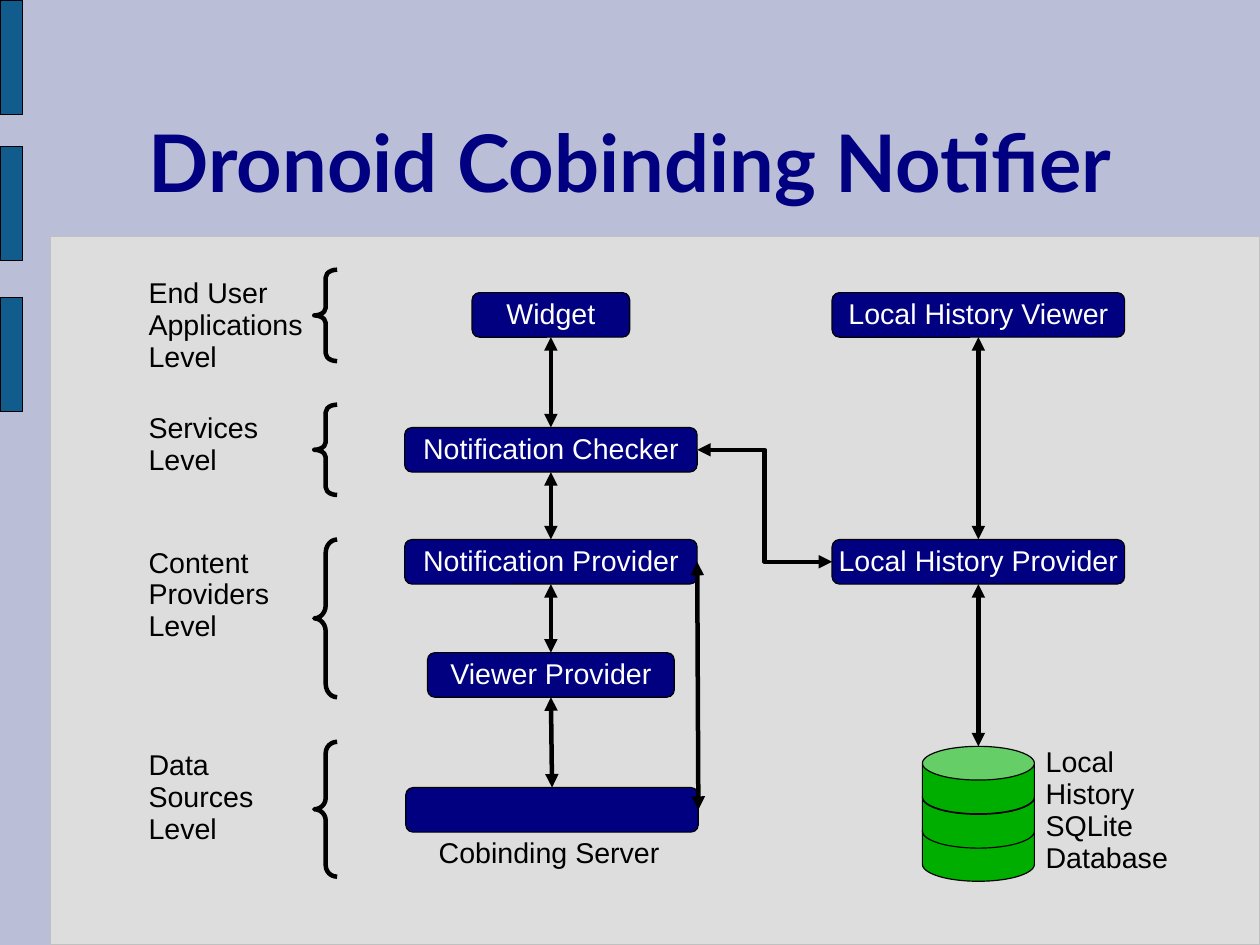
from lxml import etree
from pptx import Presentation
from pptx.dml.color import RGBColor
from pptx.enum.shapes import MSO_CONNECTOR, MSO_SHAPE
from pptx.enum.text import MSO_ANCHOR, PP_ALIGN
from pptx.oxml.ns import qn
from pptx.util import Inches, Pt

RECTANGLE = MSO_SHAPE.RECTANGLE
ROUNDED = MSO_SHAPE.ROUNDED_RECTANGLE
CAN = MSO_SHAPE.CAN
BRACE = MSO_SHAPE.LEFT_BRACE
STRAIGHT = MSO_CONNECTOR.STRAIGHT
ELBOW = MSO_CONNECTOR.ELBOW
LEFT, CENTER = PP_ALIGN.LEFT, PP_ALIGN.CENTER
TOP, MIDDLE = MSO_ANCHOR.TOP, MSO_ANCHOR.MIDDLE
SITE_TOP, SITE_LEFT, SITE_BOTTOM, SITE_RIGHT = range(4)

COLORS = {
    "background": "BABED6", "panel": "DDDDDD", "panel_line": "C0C0C0",
    "bar": "125C8D", "navy": "000080", "database": "00AE00",
    "black": "000000", "white": "FFFFFF",
}

CM_PER_INCH = 2.54
SLIDE_WIDTH, SLIDE_HEIGHT = 28 / CM_PER_INCH, 21 / CM_PER_INCH
TITLE = "Dronoid Cobinding Notifier"
BAR_TOPS = [0, 1.28, 2.6]
LEVELS = [
    ("End User Applications Level", 2.36, 0.8, 1.77),
    ("Services Level", 3.54, 0.79, 1.27),
    ("Content Providers Level", 4.72, 1.38, 1.77),
    ("Data Sources Level", 6.49, 1.18, 1.57),
]
NODE_HEIGHT = 0.39
MAIN_CENTER, HISTORY_CENTER = 4.82, 8.56
NODES = {
    "server": ("", MAIN_CENTER + 0.01, 6.89, 2.56),
    "notification provider": ("Notification Provider", MAIN_CENTER, 4.72, 2.56),
    "viewer provider": ("Viewer Provider", MAIN_CENTER, 5.71, 2.16),
    "checker": ("Notification Checker", MAIN_CENTER, 3.74, 2.56),
    "widget": ("Widget", MAIN_CENTER, 2.56, 1.38),
    "history viewer": ("Local History Viewer", HISTORY_CENTER, 2.56, 2.56),
    "history provider": ("Local History Provider", HISTORY_CENTER, 4.72, 2.56),
}
VERTICAL_LINKS = [
    ("widget", "checker"),
    ("checker", "notification provider"),
    ("notification provider", "viewer provider"),
    ("viewer provider", "server"),
    ("history viewer", "history provider"),
]
DISK_TOPS = [7.12, 6.83, 6.53]
DISK_WIDTH, DISK_HEIGHT = 0.98, 0.59
CAPTIONS = [
    ("Local History SQLite Database", 9.05, 6.49, 1.57, 1.21),
    ("Cobinding Server", 3.74, 7.28, 2.36, 0.38),
]


def color(name):
    return RGBColor.from_string(COLORS[name])


def add_box(slide, kind, left, top, width, height, fill, line="black", weight=0.75):
    shape = slide.shapes.add_shape(
        kind, Inches(left), Inches(top), Inches(width), Inches(height))
    shape.shadow.inherit = False
    if fill:
        shape.fill.solid()
        shape.fill.fore_color.rgb = color(fill)
    else:
        shape.fill.background()
    shape.line.color.rgb = color(line)
    shape.line.width = Pt(weight)
    return shape


def write(shape, text, ink="black", align=LEFT, anchor=TOP, insets=(0.1, 0.05),
          wrap=True, spacing=0.93, font="Arial", size=18, bold=False):
    frame = shape.text_frame
    frame.word_wrap = wrap
    frame.vertical_anchor = anchor
    frame.margin_left = frame.margin_right = Inches(insets[0])
    frame.margin_top = frame.margin_bottom = Inches(insets[1])
    paragraph = frame.paragraphs[0]
    paragraph.alignment = align
    paragraph.line_spacing = spacing
    run = paragraph.add_run()
    run.text = text
    run.font.name = font
    run.font.size = Pt(size)
    run.font.bold = bold
    run.font.color.rgb = color(ink)


def add_label(slide, text, left, top, width, height, **style):
    box = slide.shapes.add_textbox(
        Inches(left), Inches(top), Inches(width), Inches(height))
    write(box, text, **style)


def add_arrow(slide, kind, start, start_site, end=None, end_site=None, point=(0, 0)):
    connector = slide.shapes.add_connector(
        kind, 0, 0, Inches(point[0]), Inches(point[1]))
    connector.begin_connect(start, start_site)
    if end is not None:
        connector.end_connect(end, end_site)
    connector.line.color.rgb = color("black")
    connector.line.width = Pt(2.83)
    properties = connector.line._get_or_add_ln()
    for tag in ("a:headEnd", "a:tailEnd"):
        etree.SubElement(properties, qn(tag), type="triangle")
    etree.SubElement(connector._element.spPr, qn("a:effectLst"))


def main():
    presentation = Presentation()
    presentation.slide_width = Inches(SLIDE_WIDTH)
    presentation.slide_height = Inches(SLIDE_HEIGHT)
    slide = presentation.slides.add_slide(presentation.slide_layouts[6])
    slide.background.fill.solid()
    slide.background.fill.fore_color.rgb = color("background")

    add_box(slide, RECTANGLE, 0.44, 2.07, 10.58, 6.19, "panel", "panel_line")
    for top in BAR_TOPS:
        add_box(slide, RECTANGLE, 0, top, 0.2, 1, "bar")
    add_label(slide, TITLE, 0.81, 0.6, 9.41, 1.38, ink="navy", align=CENTER,
              anchor=MIDDLE, insets=(0, 0), spacing=1.27, font="Lato",
              size=50, bold=True)

    for text, top, height, width in LEVELS:
        add_label(slide, text, 1.18, top, width, height, insets=(0.12, 0.07))
        brace = add_box(slide, BRACE, 2.75, top, 0.2, height, None, weight=2.83)
        brace.adjustments[0] = height / 12 / 0.2

    nodes = {}
    for name, (text, center, top, width) in NODES.items():
        node = add_box(slide, ROUNDED, center - width / 2, top, width,
                       NODE_HEIGHT, "navy")
        if text:
            write(node, text, ink="white", align=CENTER, anchor=MIDDLE, wrap=False)
        nodes[name] = node

    for top in DISK_TOPS:
        disk = add_box(slide, CAN, HISTORY_CENTER - DISK_WIDTH / 2, top,
                       DISK_WIDTH, DISK_HEIGHT, "database")
        disk.adjustments[0] = 0.5
    for caption in CAPTIONS:
        add_label(slide, *caption)

    for upper, lower in VERTICAL_LINKS:
        add_arrow(slide, STRAIGHT, nodes[upper], SITE_BOTTOM, nodes[lower], SITE_TOP)
    add_arrow(slide, STRAIGHT, nodes["notification provider"], SITE_RIGHT,
              nodes["server"], SITE_RIGHT)
    add_arrow(slide, ELBOW, nodes["checker"], SITE_RIGHT,
              nodes["history provider"], SITE_LEFT)
    add_arrow(slide, STRAIGHT, nodes["history provider"], SITE_BOTTOM,
              point=(HISTORY_CENTER, DISK_TOPS[-1]))

    presentation.save("out.pptx")


if __name__ == "__main__":
    main()
